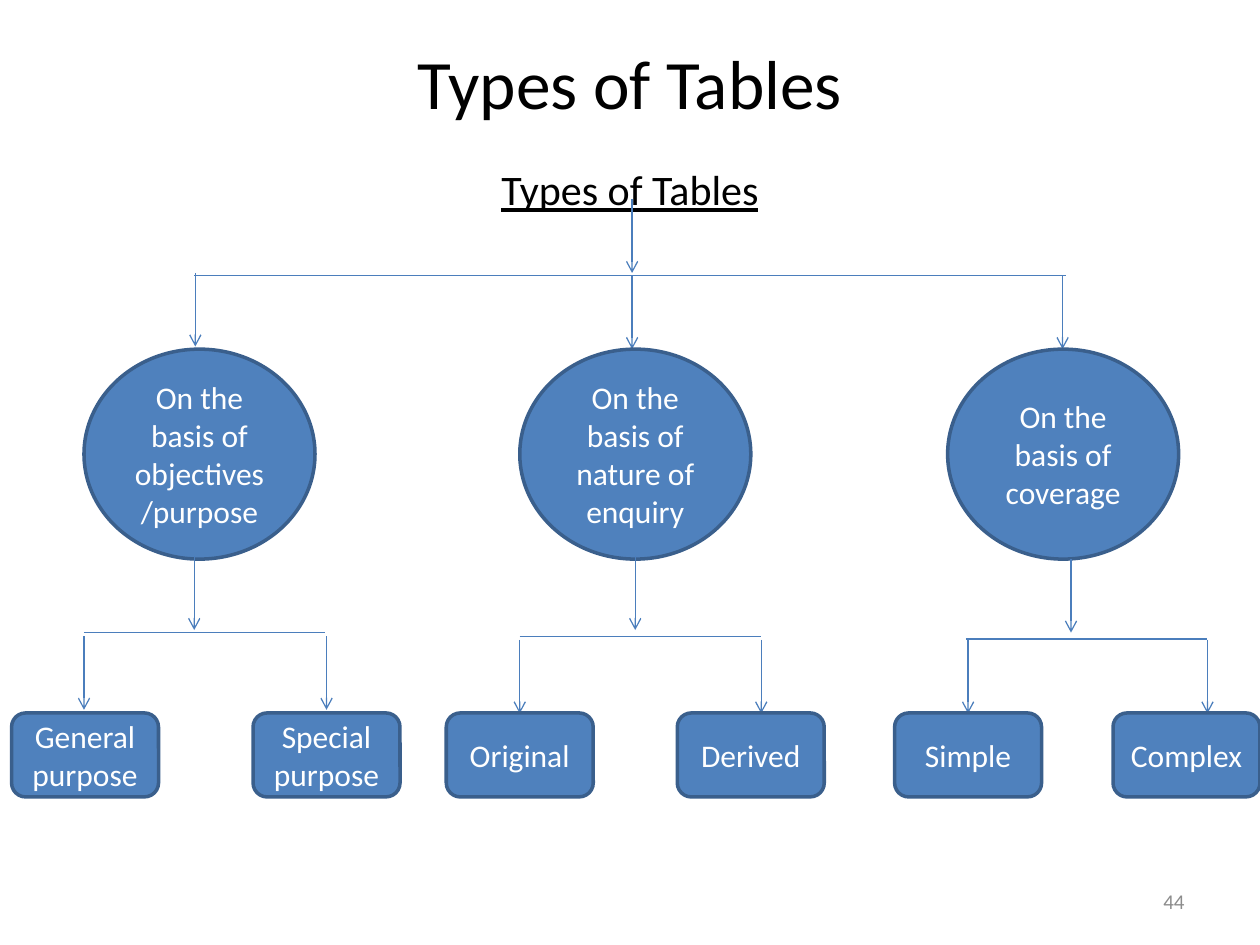
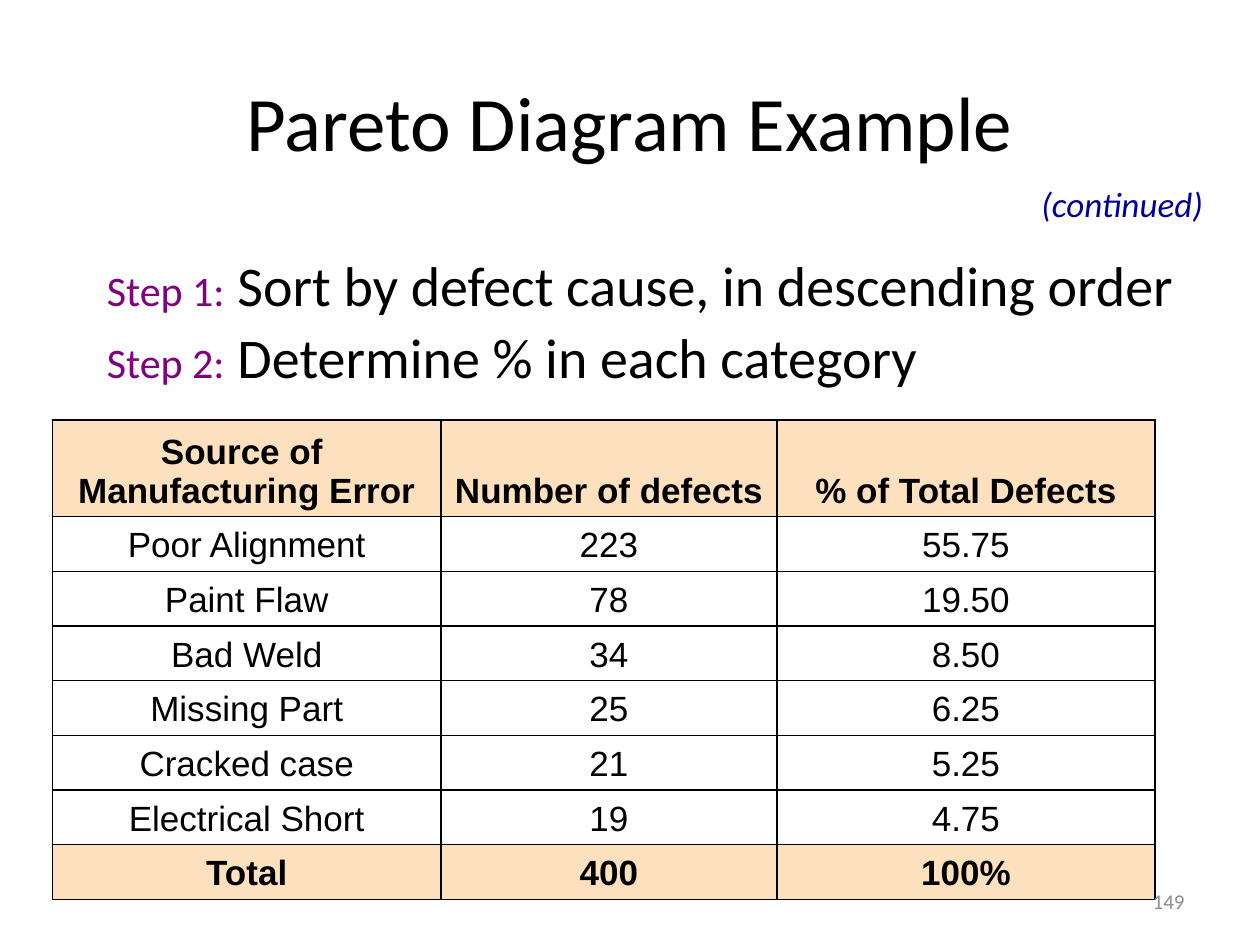
from dataclasses import dataclass

from lxml.etree import SubElement
from pptx import Presentation
from pptx.dml.color import RGBColor
from pptx.enum.shapes import MSO_CONNECTOR, MSO_SHAPE
from pptx.enum.text import MSO_ANCHOR, PP_ALIGN
from pptx.oxml.ns import qn
from pptx.util import Emu, Inches, Pt

# Shared style
BLACK = RGBColor(0x00, 0x00, 0x00)
WHITE = RGBColor(0xFF, 0xFF, 0xFF)
GREY = RGBColor(0x8C, 0x8C, 0x8C)
NODE_BLUE = RGBColor(0x4F, 0x81, 0xBD)
NODE_EDGE = RGBColor(0x3A, 0x5F, 0x8C)
LINE_BLUE = RGBColor(0x4B, 0x7E, 0xBC)
NAVY = RGBColor(0x00, 0x00, 0x99)
PURPLE = RGBColor(0x80, 0x00, 0x80)
PEACH = RGBColor(0xFD, 0xE0, 0xBD)
BODY_FONT = "Calibri"
TABLE_FONT = "Arial"

# Grid of 120 columns by 90 rows
SLIDE_WIDTH, SLIDE_HEIGHT = Inches(10), Inches(7.5)
COLUMN, ROW = SLIDE_WIDTH / 120, SLIDE_HEIGHT / 90

# Tree measures, in grid units
ARROW_ROWS = 7
BAR_COLUMNS = 23
CIRCLE_SIZE = (22, 20)
CIRCLE_TOP = 33.25
KIND_SIZE = (14, 8)
KIND_TOP = 67.9
TRUNK_ROW = 26.25


@dataclass(frozen=True)
class Area:
    left: float
    top: float
    width: float
    height: float

    def lengths(self) -> tuple:
        return (columns(self.left), rows(self.top),
                columns(self.width), rows(self.height))


@dataclass(frozen=True)
class Kind:
    label: str
    left: float
    arrow_column: float


@dataclass(frozen=True)
class Branch:
    basis: str
    circle_left: float
    entry: tuple[float, float]
    stem: tuple[float, float]
    bar: tuple[float, float]
    arrow_top: float
    kinds: tuple[Kind, Kind]


BRANCHES = (
    Branch("On the basis of objectives/purpose", 8, (18.6, 26), (18.5, 53), (8, 60.25), 60.6,
           (Kind("General purpose", 1.1, 8), Kind("Special purpose", 24.1, 31.1))),
    Branch("On the basis of nature of enquiry", 49.5, (60.2, 26.25), (60.5, 53), (49.5, 60.6), 60.95,
           (Kind("Original", 42.5, 49.5), Kind("Derived", 64.5, 72.5))),
    Branch("On the basis of coverage", 90.25, (101.2, 26.25), (102, 53.25), (92, 60.85), 60.95,
           (Kind("Simple", 85.2, 92.2), Kind("Complex", 106, 115))),
)

STEPS = (
    ("Step 1:", " Sort by defect cause, in descending order"),
    ("Step 2:", " Determine % in each category"),
)

DEFECTS = (
    ("Source of \nManufacturing Error", "Number of defects", "% of Total Defects"),
    ("Poor Alignment", "223", "55.75"),
    ("Paint Flaw", "78", "19.50"),
    ("Bad Weld", "34", "8.50"),
    ("Missing Part", "25", "6.25"),
    ("Cracked case", "21", "5.25"),
    ("Electrical Short", "19", "4.75"),
    ("Total", "400", "100%"),
)
DEFECT_COLUMNS = (37, 32, 36)
HEADER_ROWS, DEFECT_ROWS = 8.6, 4.92


def columns(count: float) -> Emu:
    return Emu(round(count * COLUMN))


def rows(count: float) -> Emu:
    return Emu(round(count * ROW))


def style_font(font, size: float, color: RGBColor, name: str = BODY_FONT) -> None:
    font.size = Pt(size)
    font.name = name
    font.color.rgb = color


def add_text(slide, area: Area, text: str, size: float, color: RGBColor = BLACK,
             align: PP_ALIGN = PP_ALIGN.LEFT, anchor: MSO_ANCHOR = MSO_ANCHOR.TOP):
    frame = slide.shapes.add_textbox(*area.lengths()).text_frame
    frame.word_wrap = True
    frame.vertical_anchor = anchor
    paragraph = frame.paragraphs[0]
    paragraph.text = text
    paragraph.alignment = align
    style_font(paragraph.font, size, color)
    return paragraph


def add_title(slide, text: str, size: float, height: float):
    return add_text(slide, Area(6, 3.6, 108, height), text, size,
                    align=PP_ALIGN.CENTER, anchor=MSO_ANCHOR.MIDDLE)


def add_slide_number(slide, number: int) -> None:
    add_text(slide, Area(86, 83.4, 28, 4.8), str(number), 12, GREY,
             PP_ALIGN.RIGHT, MSO_ANCHOR.MIDDLE)


def add_line(slide, start: tuple[float, float], end: tuple[float, float]):
    connector = slide.shapes.add_connector(
        MSO_CONNECTOR.STRAIGHT, columns(start[0]), rows(start[1]),
        columns(end[0]), rows(end[1]))
    connector.line.color.rgb = LINE_BLUE
    connector.line.width = Pt(0.75)
    SubElement(connector._element.spPr, qn("a:effectLst"))
    return connector


def add_down_arrow(slide, column: float, top: float) -> None:
    connector = add_line(slide, (column, top), (column, top + ARROW_ROWS))
    SubElement(connector.line._get_or_add_ln(), qn("a:tailEnd"), type="arrow")


def add_bar(slide, left: float, row: float, width: float) -> None:
    add_line(slide, (left, row), (left + width, row))


def add_node(slide, preset: MSO_SHAPE, area: Area, label: str) -> None:
    shape = slide.shapes.add_shape(preset, *area.lengths())
    shape.shadow.inherit = False
    shape.fill.solid()
    shape.fill.fore_color.rgb = NODE_BLUE
    shape.line.color.rgb = NODE_EDGE
    shape.line.width = Pt(2)
    frame = shape.text_frame
    frame.word_wrap = True
    frame.vertical_anchor = MSO_ANCHOR.MIDDLE
    paragraph = frame.paragraphs[0]
    paragraph.text = label
    paragraph.alignment = PP_ALIGN.CENTER
    style_font(paragraph.font, 18, WHITE)


def add_branch(slide, branch: Branch) -> None:
    add_down_arrow(slide, *branch.entry)
    add_node(slide, MSO_SHAPE.OVAL,
             Area(branch.circle_left, CIRCLE_TOP, *CIRCLE_SIZE), branch.basis)
    add_down_arrow(slide, *branch.stem)
    add_bar(slide, *branch.bar, BAR_COLUMNS)
    for kind in branch.kinds:
        add_down_arrow(slide, kind.arrow_column, branch.arrow_top)
        add_node(slide, MSO_SHAPE.ROUNDED_RECTANGLE,
                 Area(kind.left, KIND_TOP, *KIND_SIZE), kind.label)


def border_cell(cell) -> None:
    properties = cell._tc.get_or_add_tcPr()
    for side in ("lnL", "lnR", "lnT", "lnB"):
        line = SubElement(properties, qn(f"a:{side}"), w=str(Pt(1)))
        fill = SubElement(line, qn("a:solidFill"))
        SubElement(fill, qn("a:srgbClr"), val=str(BLACK))


def fill_cell(cell, text: str, emphasized: bool) -> None:
    border_cell(cell)
    if emphasized:
        cell.fill.solid()
        cell.fill.fore_color.rgb = PEACH
    else:
        cell.fill.background()
    cell.vertical_anchor = MSO_ANCHOR.BOTTOM
    cell.text = text
    for paragraph in cell.text_frame.paragraphs:
        paragraph.alignment = PP_ALIGN.CENTER
        style_font(paragraph.font, 20, BLACK, TABLE_FONT)
        paragraph.font.bold = emphasized


def add_defect_table(slide) -> None:
    last = len(DEFECTS) - 1
    area = Area(5, 40, sum(DEFECT_COLUMNS), HEADER_ROWS + last * DEFECT_ROWS)
    table = slide.shapes.add_table(
        len(DEFECTS), len(DEFECT_COLUMNS), *area.lengths()).table
    table.first_row = table.horz_banding = False
    for column, width in zip(table.columns, DEFECT_COLUMNS):
        column.width = columns(width)
    for index, values in enumerate(DEFECTS):
        table.rows[index].height = rows(DEFECT_ROWS if index else HEADER_ROWS)
        for cell, value in zip(table.rows[index].cells, values):
            fill_cell(cell, value, index in (0, last))


def add_steps(slide) -> None:
    frame = slide.shapes.add_textbox(*Area(9, 24, 106, 59.5).lengths()).text_frame
    frame.word_wrap = True
    for index, (step, action) in enumerate(STEPS):
        paragraph = frame.add_paragraph() if index else frame.paragraphs[0]
        paragraph.line_spacing = 0.9
        if index:
            paragraph.space_before = Pt(6.4)
        indent = columns(4.5)
        properties = paragraph._p.get_or_add_pPr()
        properties.set("marL", str(indent))
        properties.set("indent", str(-indent))
        for text, size, color in ((step, 24, PURPLE), (action, 32, BLACK)):
            run = paragraph.add_run()
            run.text = text
            style_font(run.font, size, color)


def build_table_types(slide) -> None:
    add_title(slide, "Types of Tables", 39.6, 8.4)
    root = add_text(slide, Area(6, 15, 108, 73), "Types of Tables", 24,
                    align=PP_ALIGN.CENTER)
    root.font.underline = True
    add_down_arrow(slide, 60.2, 19)
    add_bar(slide, 18.5, TRUNK_ROW, 83)
    for branch in BRANCHES:
        add_branch(slide, branch)
    add_slide_number(slide, 44)


def build_pareto_example(slide) -> None:
    add_steps(slide)
    add_defect_table(slide)
    add_title(slide, "Pareto Diagram Example", 44, 15).line_spacing = 1.1
    continued = add_text(slide, Area(98, 16.8, 20, 5.2), "(continued)", 20, NAVY)
    continued.font.italic = True
    add_slide_number(slide, 149)


def main() -> None:
    presentation = Presentation()
    presentation.slide_width = SLIDE_WIDTH
    presentation.slide_height = SLIDE_HEIGHT
    for build in (build_table_types, build_pareto_example):
        build(presentation.slides.add_slide(presentation.slide_layouts[6]))
    presentation.save("out.pptx")


if __name__ == "__main__":
    main()
